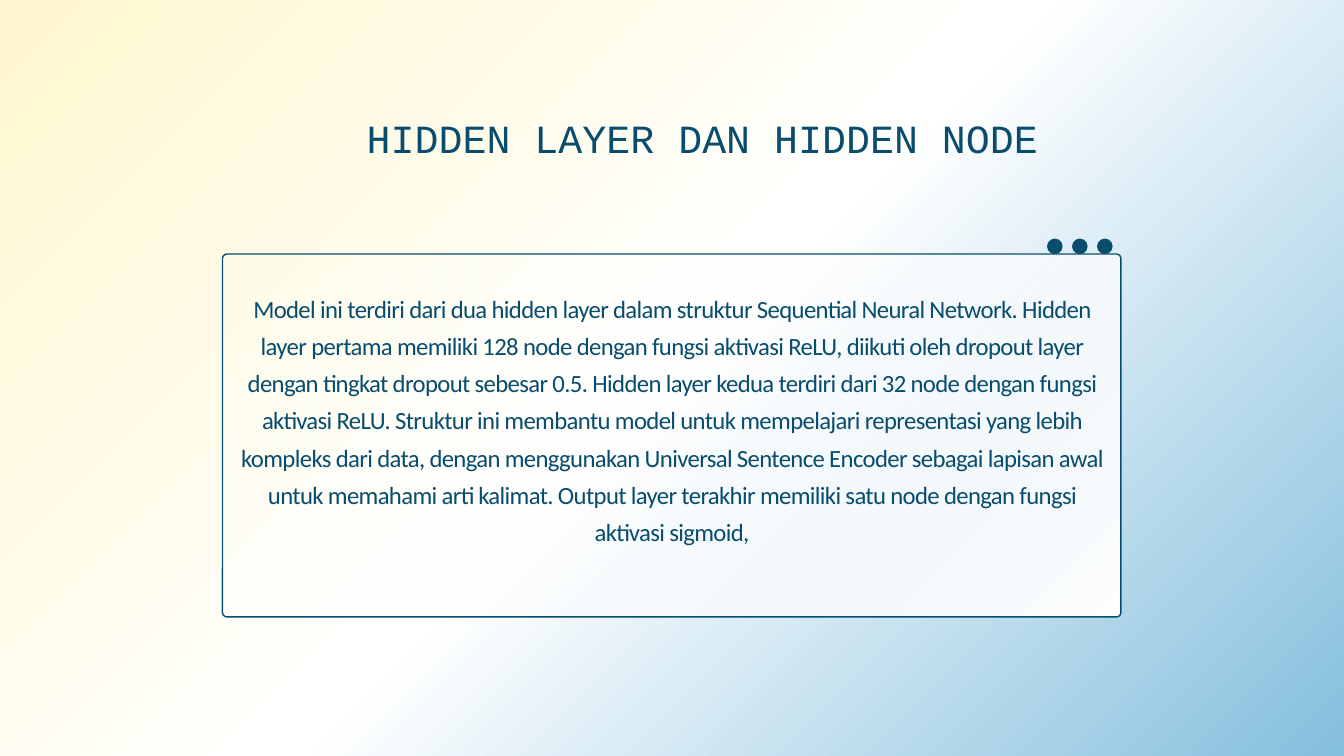
"""Build the slide on hidden layers and hidden nodes."""
import pptx
import pptx.dml.color
import pptx.enum.shapes
import pptx.enum.text
import pptx.oxml
import pptx.oxml.ns
import pptx.util

Pt = pptx.util.Pt
RGBColor = pptx.dml.color.RGBColor
Shapes = pptx.enum.shapes.MSO_SHAPE
qn = pptx.oxml.ns.qn

NAVY = RGBColor(0x08, 0x4C, 0x6E)
CREAM = RGBColor(0xFF, 0xF7, 0xCF)
WHITE = RGBColor(0xFF, 0xFF, 0xFF)
SKY = RGBColor(0x84, 0xBF, 0xDD)

TITLE = {
    "text": "HIDDEN LAYER DAN HIDDEN NODE",
    "frame": (383.8, 121.7, 738, 56.2),
    "font": "Courier New", "size": 42.8, "leading": 51.4, "tracking": 0,
}
BODY = {
    "text": "Model ini terdiri dari dua hidden layer dalam struktur Sequential Neural Network. "
            "Hidden layer pertama memiliki 128 node dengan fungsi aktivasi ReLU, diikuti oleh "
            "dropout layer dengan tingkat dropout sebesar 0.5. Hidden layer kedua terdiri dari "
            "32 node dengan fungsi aktivasi ReLU. Struktur ini membantu model untuk mempelajari "
            "representasi yang lebih kompleks dari data, dengan menggunakan Universal Sentence "
            "Encoder sebagai lapisan awal untuk memahami arti kalimat. Output layer terakhir "
            "memiliki satu node dengan fungsi aktivasi sigmoid,",
    "frame": (255.6, 306.7, 928.8, 315.4),
    "font": "Calibri", "size": 26.5, "leading": 39.8, "tracking": -70,
}
BACKDROP = [(0, CREAM, 100), (50, WHITE, 100), (100, SKY, 100)]
GLASS = [(0, WHITE, 0), (100, WHITE, 100)]
PANEL = (238.4, 272.2, 962.6, 388.8)
CORNER = 4.7
DOT_COUNT, DOT_SIZE, DOT_PITCH = 3, 16.7, 26.8
DOT_LEFT, DOT_TOP = 1121.8, 255.6


def set_gradient(fill, element, stops):
    fill.gradient()
    fill.gradient_angle = 315
    stop_list = next(element.iter(qn("a:gsLst")))
    for stop in list(stop_list):
        stop_list.remove(stop)
    for position, color, opacity in stops:
        stop_list.append(pptx.oxml.parse_xml(
            f'<a:gs {pptx.oxml.ns.nsdecls("a")} pos="{position * 1000}">'
            f'<a:srgbClr val="{color}"><a:alpha val="{opacity * 1000}"/></a:srgbClr></a:gs>'))


def add_plain_shape(page, kind, frame):
    shape = page.shapes.add_shape(kind, *map(Pt, frame))
    shape.shadow.inherit = False
    return shape


def fill_placeholder(box, content):
    box.left, box.top, box.width, box.height = map(Pt, content["frame"])
    frame = box.text_frame
    frame.margin_left = frame.margin_top = frame.margin_right = frame.margin_bottom = 0
    frame.word_wrap = True
    frame.auto_size = pptx.enum.text.MSO_AUTO_SIZE.NONE
    frame.vertical_anchor = pptx.enum.text.MSO_ANCHOR.TOP
    para = frame.paragraphs[0]
    para.alignment = pptx.enum.text.PP_ALIGN.CENTER
    para.line_spacing = Pt(content["leading"])
    para.space_before = Pt(0)
    properties = para._p.get_or_add_pPr()
    properties.set("marL", "0")
    properties.set("indent", "0")
    properties.append(pptx.oxml.parse_xml(f'<a:buNone {pptx.oxml.ns.nsdecls("a")}/>'))
    span = para.add_run()
    span.text = content["text"]
    span.font.name = content["font"]
    span.font.size = Pt(content["size"])
    span.font.color.rgb = NAVY
    span.font._element.set("spc", str(content["tracking"]))


def main():
    deck = pptx.Presentation()
    deck.slide_width, deck.slide_height = Pt(1440), Pt(810)
    page = deck.slides.add_slide(deck.slide_layouts[1])
    set_gradient(page.background.fill, page.element, BACKDROP)

    panel = add_plain_shape(page, Shapes.ROUNDED_RECTANGLE, PANEL)
    panel.adjustments[0] = CORNER / PANEL[3]
    set_gradient(panel.fill, panel.element, GLASS)
    panel.line.color.rgb = NAVY
    panel.line.width = Pt(1.5)

    for index in range(DOT_COUNT):
        left = DOT_LEFT + index * DOT_PITCH
        dot = add_plain_shape(page, Shapes.OVAL, (left, DOT_TOP, DOT_SIZE, DOT_SIZE))
        dot.fill.solid()
        dot.fill.fore_color.rgb = NAVY
        dot.line.fill.background()

    for box, content in ((page.placeholders[1], BODY), (page.shapes.title, TITLE)):
        fill_placeholder(box, content)
        box.element.getparent().append(box.element)

    deck.save("out.pptx")


if __name__ == "__main__":
    main()
